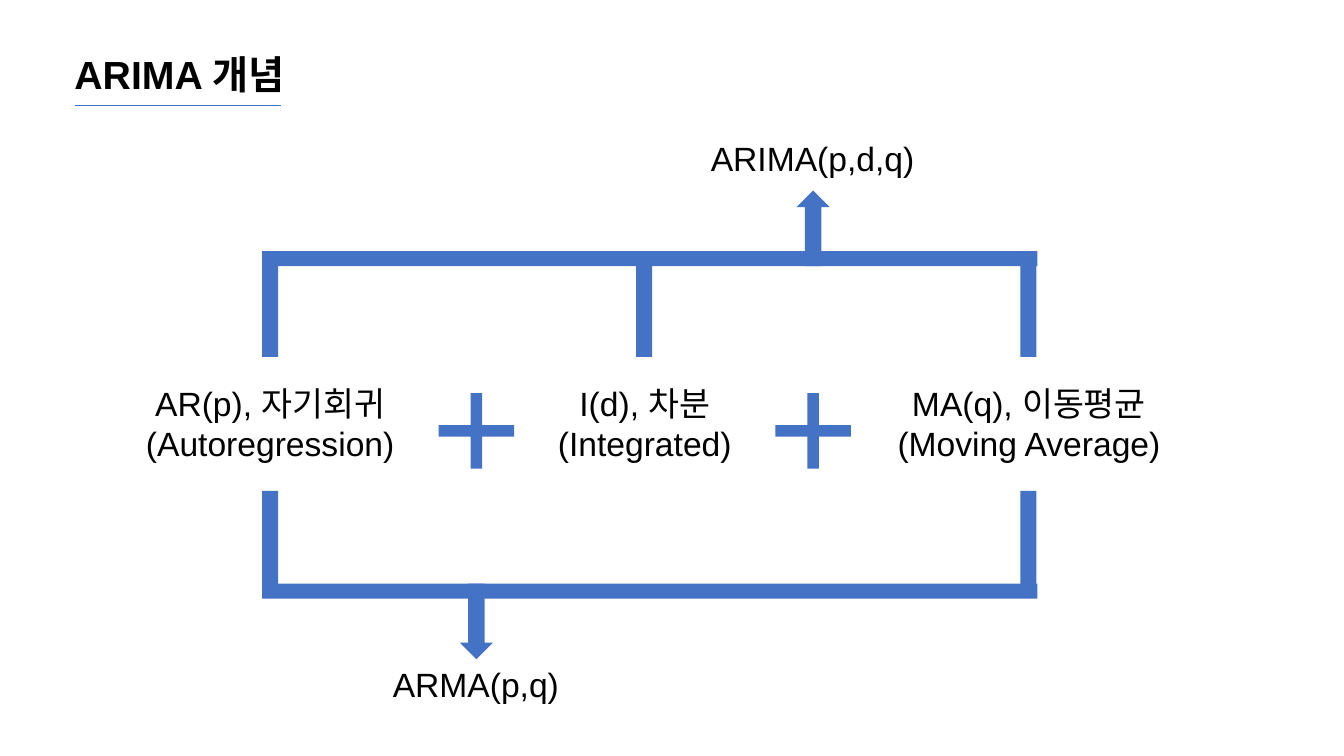
from lxml import etree
from pptx import Presentation
from pptx.dml.color import RGBColor
from pptx.enum.shapes import MSO_CONNECTOR, MSO_SHAPE as SHAPE
from pptx.enum.text import PP_ALIGN as ALIGN
from pptx.oxml.ns import qn
from pptx.util import Inches, Pt

BLUE, BLACK = "4472C4", "000000"
FONT = "Arial"
BAR_LEFT, BAR_WIDTH, BAR_HEIGHT = 2.6, 7.69, 0.15
POST_WIDTH, POST_HEIGHT = 0.16, 1.04
POST_AR, POST_I, POST_MA = 2.6, 6.31, 10.12
ARROW_WIDTH, ARROW_HEIGHT = 0.33, 0.75
PLUS_SIZE = 0.75


def color(value):
    """Turn a hex string into a colour."""
    return RGBColor.from_string(value)


def add_text(slide, left, top, width, height, lines, size=24, bold=False, align=ALIGN.CENTER):
    """Add a text box with one paragraph per line."""
    box = slide.shapes.add_textbox(Inches(left), Inches(top), Inches(width), Inches(height))
    frame = box.text_frame
    frame.word_wrap = True
    frame.text = "\n".join(lines)
    for paragraph in frame.paragraphs:
        paragraph.alignment = align
        font = paragraph.font
        font.name, font.size, font.bold = FONT, Pt(size), bold
        font.color.rgb = color(BLACK)


def add_block(slide, kind, left, top, width, height):
    """Add a plain blue shape without outline and return it."""
    shape = slide.shapes.add_shape(kind, Inches(left), Inches(top), Inches(width), Inches(height))
    shape.shadow.inherit = False
    shape.fill.solid()
    shape.fill.fore_color.rgb = color(BLUE)
    shape.line.fill.background()
    return shape


def add_plus(slide, left, top):
    """Add a thin plus sign."""
    plus = add_block(slide, SHAPE.CROSS, left, top, PLUS_SIZE, PLUS_SIZE)
    plus.adjustments[0] = 0.424


def add_bracket(slide, bar_top, posts_top, posts):
    """Add a horizontal bar and the posts that join it to the terms."""
    add_block(slide, SHAPE.RECTANGLE, BAR_LEFT, bar_top, BAR_WIDTH, BAR_HEIGHT)
    for left in posts:
        add_block(slide, SHAPE.RECTANGLE, left, posts_top, POST_WIDTH, POST_HEIGHT)


def add_rule(slide, left, top, right):
    """Add the thin line under the title."""
    rule = slide.shapes.add_connector(
        MSO_CONNECTOR.STRAIGHT, Inches(left), Inches(top), Inches(right), Inches(top))
    rule.line.color.rgb = color(BLUE)
    rule.line.width = Pt(0.5)
    etree.SubElement(rule._element.spPr, qn("a:effectLst"))


def main():
    """Build the slide and save it."""
    presentation = Presentation()
    presentation.slide_width, presentation.slide_height = Inches(13.33), Inches(7.5)
    slide = presentation.slides.add_slide(presentation.slide_layouts[6])

    add_text(slide, 0.64, 0.45, 2.39, 0.57, ["ARIMA 개념"], 28, True, ALIGN.LEFT)
    add_rule(slide, 0.74, 1.05, 2.79)

    terms = [
        (1.2, 2.96, ["AR(p), 자기회귀", "(Autoregression)"]),
        (5.29, 2.21, ["I(d), 차분", "(Integrated)"]),
        (8.63, 3.15, ["MA(q), 이동평균", "(Moving Average)"]),
    ]
    for left, width, lines in terms:
        add_text(slide, left, 3.75, width, 0.91, lines)
    for left in (4.35, 7.69):
        add_plus(slide, left, 3.9)

    add_bracket(slide, 5.79, 4.87, [POST_AR, POST_MA])
    add_block(slide, SHAPE.DOWN_ARROW, 4.56, 5.79, ARROW_WIDTH, ARROW_HEIGHT)
    add_text(slide, 3.24, 6.54, 2.96, 0.5, ["ARMA(p,q)"])

    add_bracket(slide, 2.49, 2.5, [POST_AR, POST_I, POST_MA])
    add_block(slide, SHAPE.UP_ARROW, 7.9, 1.89, ARROW_WIDTH, ARROW_HEIGHT)
    add_text(slide, 6.58, 1.32, 2.96, 0.5, ["ARIMA(p,d,q)"])

    presentation.save("out.pptx")


main()
